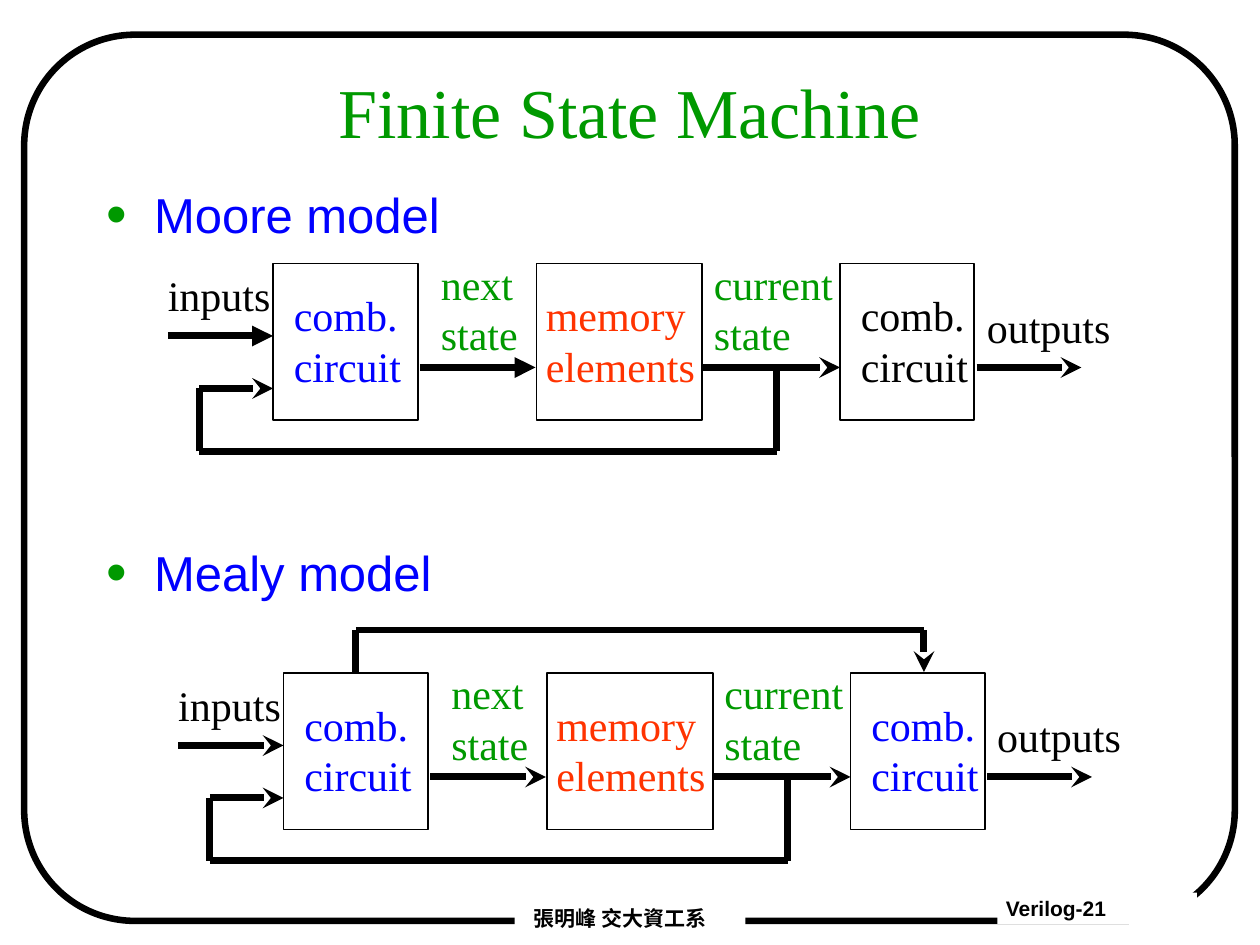
from dataclasses import dataclass

import pptx
import pptx.dml.color
import pptx.enum.shapes
import pptx.enum.text
import pptx.oxml
import pptx.oxml.ns
import pptx.util
from lxml import etree

PX = 7620  # EMU per px: 120 px to the inch
COLORS = {"black": "000000", "white": "FFFFFF", "green": "009900",
          "blue": "0000FF", "red": "FF3300"}
SERIF, SANS, HAN = "Times New Roman", "Arial", "Noto Sans CJK SC"
KINDS = pptx.enum.shapes.MSO_SHAPE
ALIGN = pptx.enum.text.PP_ALIGN
ANCHOR = pptx.enum.text.MSO_ANCHOR
FIT = pptx.enum.text.MSO_AUTO_SIZE


@dataclass
class Area:
    left: int
    top: int
    width: int
    height: int


@dataclass
class Style:
    font: str
    size: int
    color: str
    bold: bool = False


@dataclass
class Label:
    text: str
    area: Area
    color: str


@dataclass
class Wire:
    points: list
    head: str = ""


@dataclass
class Model:
    dx: int
    dy: int
    first: str  # arrowhead of the input wire
    second: str  # arrowhead of the next-state wire
    last: str  # colour of the output circuit


# Layout of one model, placed by its dx and dy
BLOCKS = {"input": Area(260, 251, 138, 149),
          "memory": Area(511, 251, 158, 149),
          "output": Area(800, 251, 128, 149)}
MODELS = [Model(0, 0, "triangle", "triangle", "black"),
          Model(10, 390, "stealth", "stealth", "blue")]


def emu(value: int) -> int:
    return pptx.util.Emu(value * PX)


def rgb(name: str):
    return pptx.dml.color.RGBColor.from_string(COLORS[name])


def bounds(area: Area, dx: int = 0, dy: int = 0) -> list:
    return [emu(n) for n in (area.left + dx, area.top + dy, area.width, area.height)]


def write(shape, text: str, style: Style, inset=(12, 6, 12, 6)):
    frame = shape.text_frame
    (frame.margin_left, frame.margin_top,
     frame.margin_right, frame.margin_bottom) = map(emu, inset)
    frame.text = text
    for para in frame.paragraphs:
        para.alignment = ALIGN.LEFT
        for run in para.runs:
            run.font.size = pptx.util.Pt(style.size)
            run.font.name = style.font
            run.font.bold = style.bold
            run.font.color.rgb = rgb(style.color)
            east = etree.SubElement(run.font._element, pptx.oxml.ns.qn("a:ea"))
            east.set("typeface", style.font)
    return frame


def draw_box(slide, kind, area: Area, dx: int = 0, dy: int = 0, width: float = 1):
    box = slide.shapes.add_shape(kind, *bounds(area, dx, dy))
    box.shadow.inherit = False
    box.fill.background()
    box.line.color.rgb = rgb("black")
    box.line.width = pptx.util.Pt(width)
    return box


def draw_label(slide, label: Label, dx: int, dy: int) -> None:
    box = slide.shapes.add_textbox(*bounds(label.area, dx, dy))
    frame = write(box, label.text, Style(SERIF, 24, label.color))
    frame.word_wrap = False
    frame.auto_size = FIT.SHAPE_TO_FIT_TEXT


def draw_wire(slide, wire: Wire, dx: int, dy: int) -> list:
    """Draw the straight parts of a wire, with its arrowhead on the last."""
    parts = []
    for (x1, y1), (x2, y2) in zip(wire.points, wire.points[1:]):
        part = slide.shapes.add_connector(
            pptx.enum.shapes.MSO_CONNECTOR.STRAIGHT,
            emu(x1 + dx), emu(y1 + dy), emu(x2 + dx), emu(y2 + dy))
        part.line.color.rgb = rgb("black")
        part.line.width = pptx.util.Pt(4)
        etree.SubElement(part._element.spPr, pptx.oxml.ns.qn("a:effectLst"))
        parts.append(part)
    if wire.head:
        line = parts[-1].line._get_or_add_ln()
        etree.SubElement(line, pptx.oxml.ns.qn("a:tailEnd")).set("type", wire.head)
    return parts


def draw_model(slide, model: Model) -> dict:
    dx, dy = model.dx, model.dy
    boxes = {name: draw_box(slide, KINDS.RECTANGLE, area, dx, dy)
             for name, area in BLOCKS.items()}
    labels = [
        Label("comb.\ncircuit", Area(268, 270, 126, 108), "blue"),
        Label("memory\nelements", Area(508, 270, 167, 108), "red"),
        Label("comb.\ncircuit", Area(808, 270, 126, 108), model.last),
        Label("inputs", Area(148, 251, 122, 60), "black"),
        Label("next\nstate", Area(408, 240, 97, 108), "green"),
        Label("current\nstate", Area(668, 240, 138, 108), "green"),
        Label("outputs", Area(928, 281, 142, 60), "black"),
    ]
    wires = [
        Wire([(160, 320), (260, 320)], model.first),
        Wire([(400, 350), (510, 350)], model.second),
        Wire([(670, 350), (800, 350)], "stealth"),
        Wire([(930, 350), (1030, 350)], "stealth"),
        # Feedback of the current state
        Wire([(740, 350), (740, 430), (190, 430), (190, 370), (260, 370)], "stealth"),
    ]
    for wire in wires:
        draw_wire(slide, wire, dx, dy)
    for label in labels:
        draw_label(slide, label, dx, dy)
    return boxes


def draw_foot(slide, text: str, area: Area, font: str, indent: int) -> None:
    box = draw_box(slide, KINDS.RECTANGLE, area)
    box.fill.solid()
    box.fill.fore_color.rgb = rgb("white")
    box.line.fill.background()
    frame = write(box, text, Style(font, 12, "black", True), (indent, 4, 8, 4))
    frame.vertical_anchor = ANCHOR.TOP
    frame.auto_size = FIT.SHAPE_TO_FIT_TEXT
    frame.paragraphs[0].line_spacing = 0.97


def add_bullet(para) -> None:
    props = para._p.get_or_add_pPr()
    props.set("marL", str(emu(45)))
    props.set("indent", str(emu(-45)))
    color = etree.SubElement(props, pptx.oxml.ns.qn("a:buClr"))
    etree.SubElement(color, pptx.oxml.ns.qn("a:srgbClr")).set("val", COLORS["green"])
    etree.SubElement(props, pptx.oxml.ns.qn("a:buSzPct")).set("val", "120000")
    etree.SubElement(props, pptx.oxml.ns.qn("a:buFont")).set("typeface", SANS)
    etree.SubElement(props, pptx.oxml.ns.qn("a:buChar")).set("char", "•")


def main() -> None:
    deck = pptx.Presentation()
    deck.slide_width, deck.slide_height = emu(1200), emu(900)
    slide = deck.slides.add_slide(deck.slide_layouts[6])

    # Frame and footers
    frame = draw_box(slide, KINDS.ROUNDED_RECTANGLE, Area(23, 33, 1153, 844), width=3.75)
    frame.adjustments[0] = 0.125
    draw_foot(slide, "Verilog-21", Area(950, 850, 190, 30), SANS, 8)
    draw_foot(slide, "張明峰 交大資工系", Area(490, 860, 220, 30), HAN, 18)

    # Title
    box = slide.shapes.add_textbox(*bounds(Area(90, 40, 1020, 130)))
    title = write(box, "Finite State Machine", Style(SERIF, 40, "green"))
    title.word_wrap = True
    title.vertical_anchor = ANCHOR.MIDDLE
    title.paragraphs[0].alignment = ALIGN.CENTER

    # Headings, with the gap for the first model between them
    box = slide.shapes.add_textbox(*bounds(Area(90, 170, 1020, 630)))
    body = write(box, "Moore model\nMealy model", Style(SANS, 28, "blue"))
    body.word_wrap = True
    for para, gap in zip(body.paragraphs, (7, 171)):
        para.space_before = pptx.util.Pt(gap)
        add_bullet(para)

    # Both models; only the Mealy model feeds its inputs forward
    moore, mealy = [draw_model(slide, model) for model in MODELS]
    ahead = Wire([(329, 251), (329, 210), (870, 210), (870, 250)], "stealth")
    parts = draw_wire(slide, ahead, MODELS[1].dx, MODELS[1].dy)
    parts[0].begin_connect(mealy["input"], 0)

    deck.save("out.pptx")


if __name__ == "__main__":
    main()
